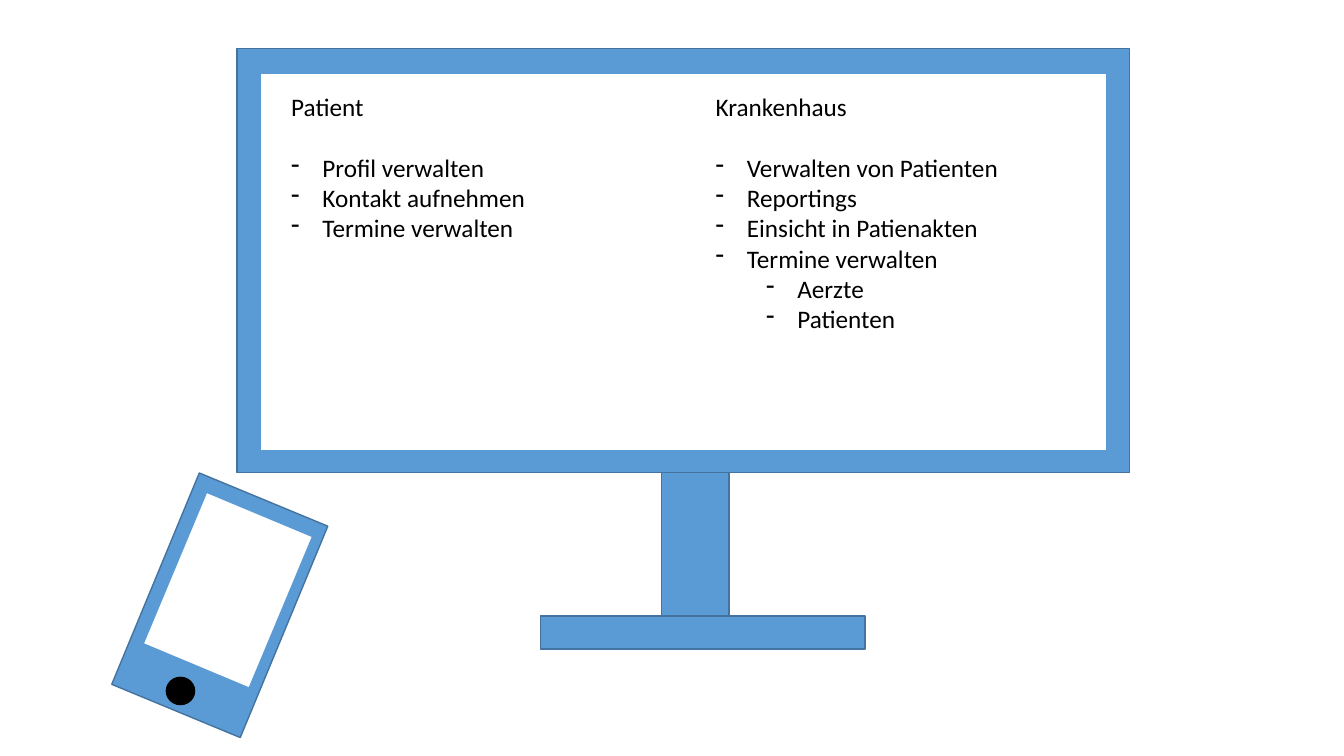
from lxml import etree
from pptx import Presentation
from pptx.dml.color import RGBColor
from pptx.enum import shapes, text
from pptx.oxml.ns import qn
from pptx.util import Inches, Pt

BLUE = RGBColor(0x5B, 0x9B, 0xD5)
DARK_BLUE = RGBColor(0x43, 0x73, 0x9E)
WHITE = RGBColor(0xFF, 0xFF, 0xFF)
BLACK = RGBColor(0x00, 0x00, 0x00)
RECT = shapes.MSO_SHAPE.RECTANGLE
OVAL = shapes.MSO_SHAPE.OVAL

prs = Presentation()
prs.slide_width, prs.slide_height = Inches(13.33), Inches(7.5)
slide = prs.slides.add_slide(prs.slide_layouts[6])


def add_part(kind, box, fill, line, rotation=0):
    part = slide.shapes.add_shape(kind, *map(Inches, box))
    part.shadow.inherit = False
    part.fill.solid()
    part.fill.fore_color.rgb = fill
    part.line.color.rgb = line
    part.line.width = Pt(1)
    part.rotation = rotation


def add_dash(paragraph, indent):
    """Hang the paragraph on a dash bullet, with its text at indent inches."""
    props = paragraph._p.get_or_add_pPr()
    props.set("marL", str(Inches(indent)))
    props.set("indent", str(Inches(-0.31)))
    etree.SubElement(props, qn("a:buFontTx"))
    etree.SubElement(props, qn("a:buChar")).set("char", "-")


# Monitor: frame, neck, foot, screen
add_part(RECT, (2.35, 0.48, 8.85, 4.21), BLUE, DARK_BLUE)
add_part(RECT, (6.56, 4.69, 0.67, 1.42), BLUE, DARK_BLUE)
add_part(RECT, (5.36, 6.11, 3.22, 0.33), BLUE, DARK_BLUE)
add_part(RECT, (2.58, 0.73, 8.4, 3.74), WHITE, BLUE)

# Functions per user group: box, heading, (level, entry)
user_groups = [
    ((2.79, 0.86, 3.88, 1.62), "Patient", [
        (0, "Profil verwalten"),
        (0, "Kontakt aufnehmen"),
        (0, "Termine verwalten"),
    ]),
    ((7, 0.86, 3.98, 2.52), "Krankenhaus", [
        (0, "Verwalten von Patienten"),
        (0, "Reportings"),
        (0, "Einsicht in Patienakten"),
        (0, "Termine verwalten"),
        (1, "Aerzte"),
        (1, "Patienten"),
    ]),
]
for box, heading, entries in user_groups:
    frame = slide.shapes.add_textbox(*map(Inches, box)).text_frame
    frame.word_wrap = True
    frame.auto_size = text.MSO_AUTO_SIZE.SHAPE_TO_FIT_TEXT
    title = frame.paragraphs[0]
    title.text = heading
    title.space_after = Pt(21.6)
    for level, entry in entries:
        item = frame.add_paragraph()
        item.text = entry
        item.level = level
        add_dash(item, 0.31 + 0.5 * level)
    for paragraph in frame.paragraphs:
        paragraph.font.name = "Calibri"
        paragraph.font.size = Pt(18)
        paragraph.font.color.rgb = BLACK

# Phone: body, screen, home button
add_part(RECT, (1.49, 4.87, 1.38, 2.27), BLUE, DARK_BLUE, 22.5)
add_part(RECT, (1.69, 5.04, 1.14, 1.63), WHITE, BLUE, 22.7)
add_part(OVAL, (1.65, 6.72, 0.28, 0.27), BLACK, BLACK)

prs.save("out.pptx")
